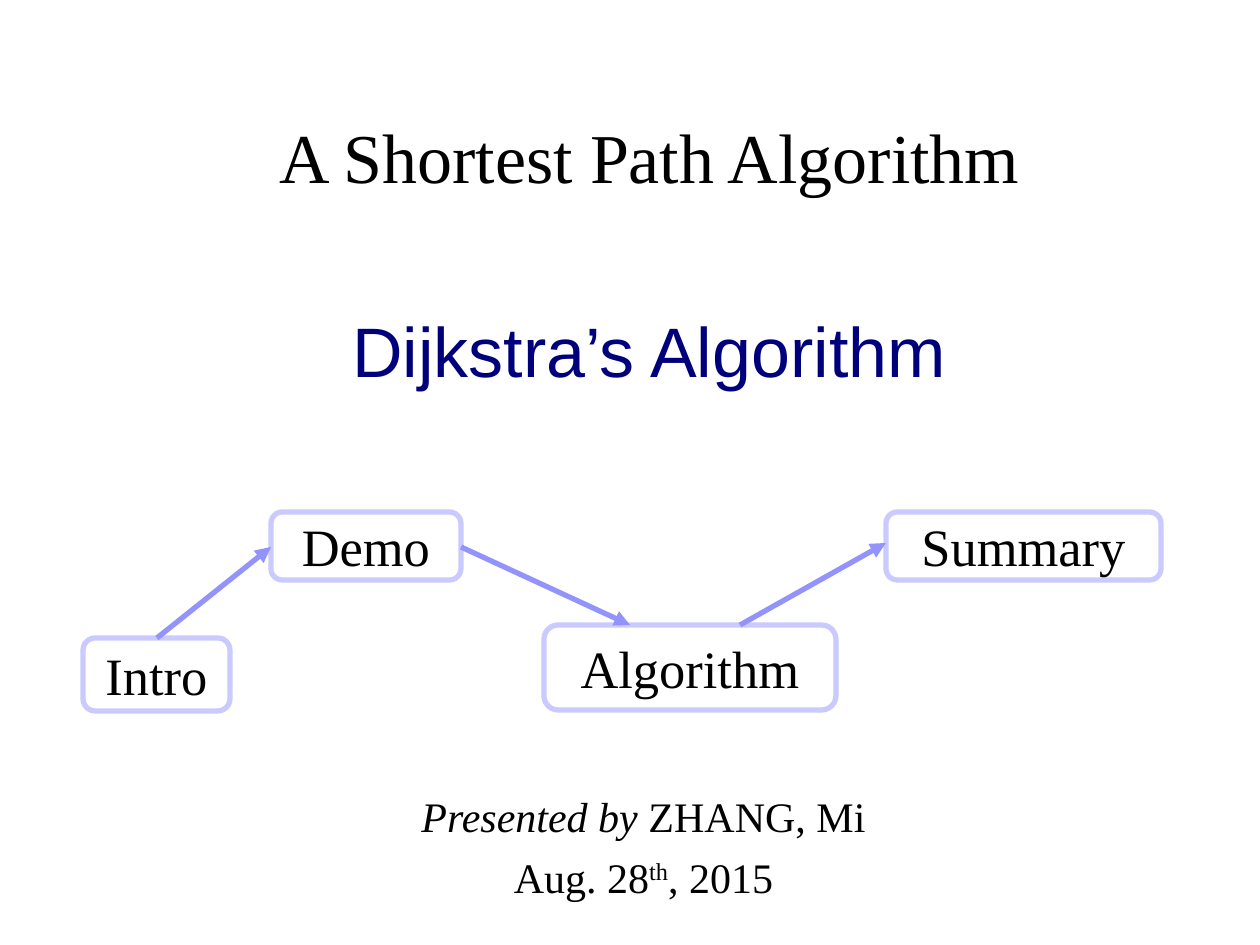
import lxml.etree
import pptx
import pptx.dml.color
import pptx.enum.shapes
import pptx.enum.text
import pptx.oxml.ns
import pptx.util

EMU_PER_PX = 914400 / 126
SERIF = "Times New Roman"
ALIGN = pptx.enum.text.PP_ALIGN
ANCHOR = pptx.enum.text.MSO_ANCHOR


def px(length):
    return pptx.util.Emu(round(length * EMU_PER_PX))


def rgb(hex_color):
    return pptx.dml.color.RGBColor.from_string(hex_color)


def style(font, size, name=SERIF, color="000000"):
    font.size = pptx.util.Pt(size)
    font.name = name
    font.color.rgb = rgb(color)


def add_heading(slide, box, text, size, align, anchor, name=SERIF, color="000000"):
    frame = slide.shapes.add_textbox(*map(px, box)).text_frame
    frame.word_wrap = True
    frame.vertical_anchor = anchor
    frame.text = text
    frame.paragraphs[0].alignment = align
    style(frame.paragraphs[0].runs[0].font, size, name, color)


def add_step(slide, box, label):
    step = slide.shapes.add_shape(
        pptx.enum.shapes.MSO_SHAPE.ROUNDED_RECTANGLE, *map(px, box))
    step.shadow.inherit = False
    step.fill.solid()
    step.fill.fore_color.rgb = rgb("FFFFFF")
    step.line.color.rgb = rgb("CACAFF")
    step.line.width = pptx.util.Pt(3)
    frame = step.text_frame
    frame.vertical_anchor = ANCHOR.MIDDLE
    frame.text = label
    frame.paragraphs[0].alignment = ALIGN.CENTER
    style(frame.paragraphs[0].runs[0].font, 30)


def add_arrow(slide, start, end):
    arrow = slide.shapes.add_connector(
        pptx.enum.shapes.MSO_CONNECTOR.STRAIGHT, *map(px, start + end))
    arrow.line.color.rgb = rgb("9393FC")
    arrow.line.width = pptx.util.Pt(3)
    qn = pptx.oxml.ns.qn
    lxml.etree.SubElement(arrow.line._get_or_add_ln(), qn("a:tailEnd"), type="triangle")
    lxml.etree.SubElement(arrow._element.spPr, qn("a:effectLst"))


def add_roadmap(slide, box):
    """Draw the outline of the talk as steps joined by arrows."""
    left, top, width, height = box
    steps = {
        "Intro": (0, 126, 147, 73),
        "Demo": (188, 0, 190, 68),
        "Summary": (width - 275, 0, 275, 68),
        "Algorithm": (461, height - 85, 292, 85),
    }
    arrows = [
        ((74, 126), (188, 35)),
        ((378, 35), (547, 113)),
        ((657, 113), (803, 31)),
    ]
    for label, (x, y, w, h) in steps.items():
        add_step(slide, (left + x, top + y, w, h), label)
    for ends in arrows:
        add_arrow(slide, *((left + x, top + y) for x, y in ends))


def add_byline(slide, box):
    frame = slide.shapes.add_textbox(*map(px, box)).text_frame
    frame.word_wrap = True
    presenter = frame.paragraphs[0]
    date = frame.add_paragraph()
    date.space_before = pptx.util.Pt(6)
    lines = (
        (presenter, ("Presented by ", "ZHANG, Mi")),
        (date, ("Aug. 28", "th", ", 2015")),
    )
    for paragraph, parts in lines:
        paragraph.alignment = ALIGN.CENTER
        for part in parts:
            run = paragraph.add_run()
            run.text = part
            style(run.font, 24)
    presenter.runs[0].font.italic = True
    date.runs[1]._r.get_or_add_rPr().set("baseline", "30000")


def main():
    deck = pptx.Presentation()
    deck.slide_width, deck.slide_height = px(1260), px(945)
    slide = deck.slides.add_slide(deck.slide_layouts[6])
    add_heading(slide, (213, 66, 873, 179), "A Shortest Path Algorithm", 40,
                ALIGN.CENTER, ANCHOR.MIDDLE)
    add_byline(slide, (83, 784, 1121, 130))
    add_roadmap(slide, (83, 512, 1078, 198))
    add_heading(slide, (340, 301, 683, 97), "Dijkstra’s Algorithm", 40,
                ALIGN.LEFT, ANCHOR.TOP, "Arial", "00007D")
    deck.save("out.pptx")


if __name__ == "__main__":
    main()
